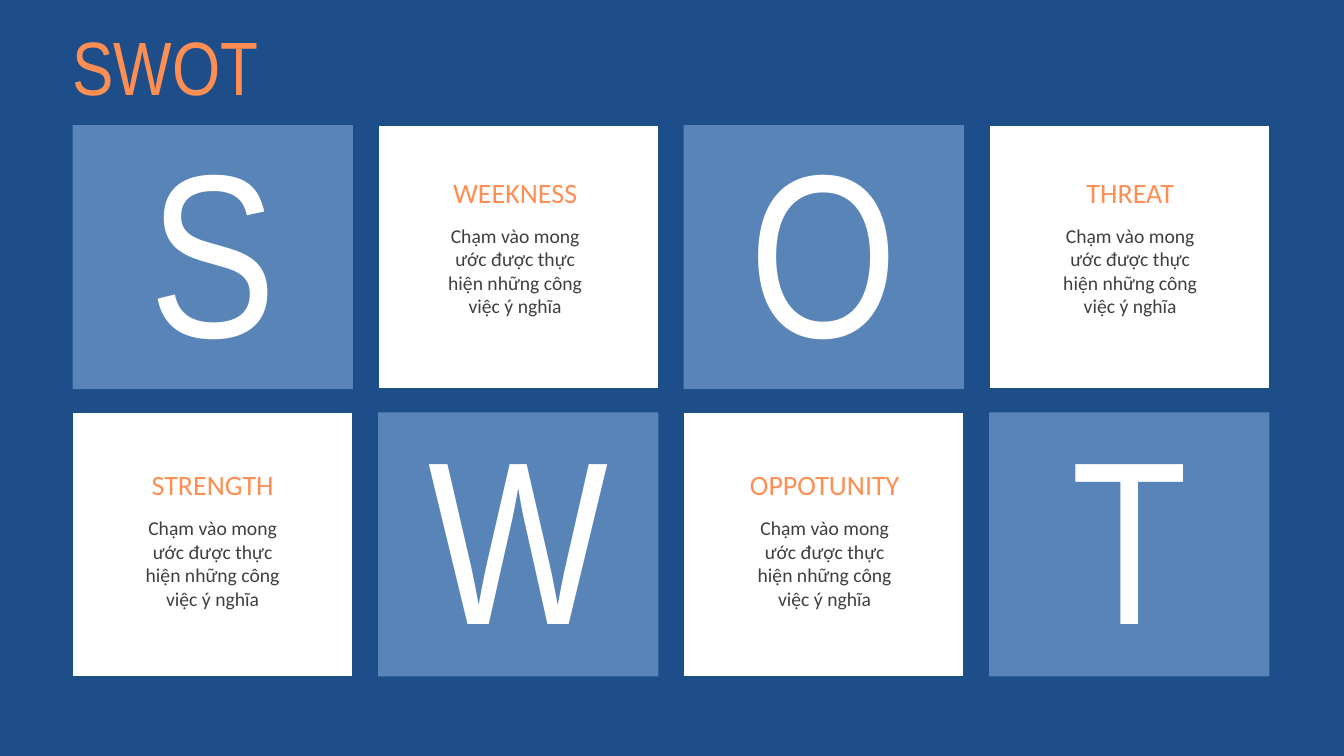
from pptx import Presentation
from pptx.dml.color import RGBColor
from pptx.enum.shapes import MSO_SHAPE
from pptx.enum.text import MSO_ANCHOR, PP_ALIGN
from pptx.util import Inches, Pt

RECTANGLE = MSO_SHAPE.RECTANGLE
TOP, BOTTOM = MSO_ANCHOR.TOP, MSO_ANCHOR.BOTTOM
LEFT, CENTER = PP_ALIGN.LEFT, PP_ALIGN.CENTER

NAVY = RGBColor(0x1D, 0x4E, 0x89)
BLUE = RGBColor(0x58, 0x84, 0xB8)
ORANGE = RGBColor(0xFF, 0x8E, 0x52)
WHITE = RGBColor(0xFF, 0xFF, 0xFF)
GRAY = RGBColor(0x3F, 0x3F, 0x3F)

DISPLAY_FONT = "Arial Narrow"
TEXT_FONT = "Calibri"

GRID_LEFT, GRID_TOP = 0.72, 1.24
TILE_WIDTH, TILE_HEIGHT = 2.78, 2.62
COLUMN_STEP, ROW_STEP = 3.03, 2.85

# An empty letter marks a white tile.
LETTERS = [["S", "", "O", ""], ["", "W", "", "T"]]
BODY = "Chạm vào mong ước được thực hiện những công việc ý nghĩa"
# Heading, centre of the text, top and width of the heading
CARDS = [
    ("STRENGTH", 2.11, 4.59, 1.76),
    ("WEEKNESS", 5.11, 1.69, 1.85),
    ("OPPOTUNITY", 8.18, 4.59, 2.08),
    ("THREAT", 11.21, 1.69, 1.36),
]


def write_text(shape, text, *, size, color, font=TEXT_FONT, align=CENTER,
               anchor=TOP, wrap=True):
    frame = shape.text_frame
    frame.word_wrap = wrap
    frame.vertical_anchor = anchor
    para = frame.paragraphs[0]
    para.alignment = align
    span = para.add_run()
    span.text = text
    span.font.name = font
    span.font.size = Pt(size)
    span.font.color.rgb = color


def add_text(page, text, left, top, width, height, **text_format):
    box = page.shapes.add_textbox(
        Inches(left), Inches(top), Inches(width), Inches(height))
    write_text(box, text, **text_format)
    return box


def add_tile(page, letter, row, column):
    tile = page.shapes.add_shape(
        RECTANGLE,
        Inches(GRID_LEFT + column * COLUMN_STEP),
        Inches(GRID_TOP + row * ROW_STEP),
        Inches(TILE_WIDTH), Inches(TILE_HEIGHT))
    tile.shadow.inherit = False
    tile.fill.solid()
    if letter:
        tile.fill.fore_color.rgb = BLUE
        tile.line.fill.background()
        write_text(tile, letter, size=166, color=WHITE, font=DISPLAY_FONT,
                   anchor=BOTTOM)
    else:
        tile.fill.fore_color.rgb = WHITE
        tile.line.color.rgb = NAVY
        tile.line.width = Pt(1)


def add_card_text(page, heading, center, top, width):
    box = add_text(page, heading, center - width / 2, top, width, 0.44,
                   size=20, color=ORANGE, wrap=False)
    box.fill.solid()
    box.fill.fore_color.rgb = WHITE
    add_text(page, BODY, center - 1.77 / 2, top + 0.48, 1.77, 1.04,
             size=14, color=GRAY)


def main():
    deck = Presentation()
    deck.slide_width, deck.slide_height = Inches(13.33), Inches(7.5)
    page = deck.slides.add_slide(deck.slide_layouts[6])
    page.background.fill.solid()
    page.background.fill.fore_color.rgb = NAVY

    add_text(page, "SWOT", 0.62, 0.15, 2.4, 1.01, size=54, color=ORANGE,
             font=DISPLAY_FONT, align=LEFT)
    for row, letters in enumerate(LETTERS):
        for column, letter in enumerate(letters):
            add_tile(page, letter, row, column)
    for card in CARDS:
        add_card_text(page, *card)
    deck.save("out.pptx")


if __name__ == "__main__":
    main()
